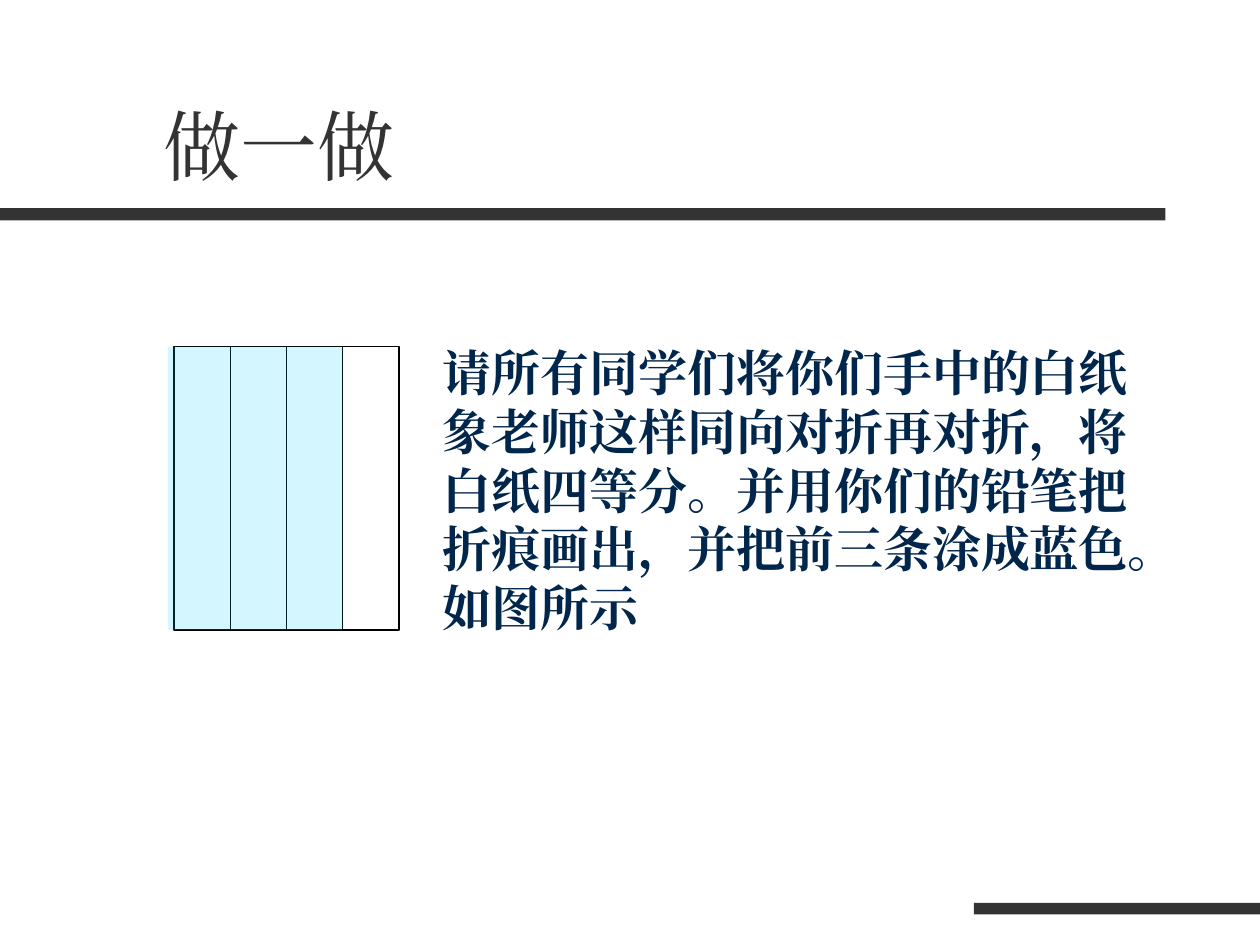
from lxml import etree
from pptx import Presentation
from pptx.dml.color import RGBColor
from pptx.enum.shapes import MSO_CONNECTOR as CONN, MSO_SHAPE as SHAPE
from pptx.enum.text import MSO_ANCHOR as ANCHOR, PP_ALIGN as ALIGN
from pptx.oxml.ns import qn
from pptx.util import Pt

GREY = RGBColor(0x33, 0x33, 0x33)
NAVY = RGBColor(0x00, 0x26, 0x4C)
CYAN = RGBColor(0x00, 0xCC, 0xFF)
WHITE = RGBColor(0xFF, 0xFF, 0xFF)
BLACK = RGBColor(0x00, 0x00, 0x00)
FONT = "Times New Roman"


def write(sp, text, size, color, bold=False, anchor=ANCHOR.TOP, spacing=None):
    tf = sp.text_frame
    tf.word_wrap = True
    tf.vertical_anchor = anchor
    p = tf.paragraphs[0]
    p.alignment = ALIGN.LEFT
    p.line_spacing = spacing
    r = p.add_run()
    r.text = text
    r.font.size = Pt(size)
    r.font.bold = bold
    r.font.name = FONT
    r.font.color.rgb = color
    # East Asian characters use the same font
    etree.SubElement(r.font._element, qn("a:ea"), typeface=FONT)


def add_rect(shapes, x, y, w, h, fill, line=None):
    sp = shapes.add_shape(SHAPE.RECTANGLE, Pt(x), Pt(y), Pt(w), Pt(h))
    sp.shadow.inherit = False
    sp.fill.solid()
    sp.fill.fore_color.rgb = fill
    if line is None:
        sp.line.fill.background()
    else:
        sp.line.color.rgb = line
        sp.line.width = Pt(0.75)
    return sp


prs = Presentation()
prs.slide_width, prs.slide_height = Pt(720), Pt(540)
s = prs.slides.add_slide(prs.slide_layouts[5])

# Rules under the title and at the bottom right
add_rect(s.shapes, 0, 119, 666, 7, GREY)
add_rect(s.shapes, 556.5, 516, 163.5, 6.5, GREY)

# Sheet of paper folded into four strips
left, top, width, height = 99.5, 198, 128.5, 162
strip = width / 4
paper = s.shapes.add_group_shape().shapes
add_rect(paper, left, top, width, height, WHITE, BLACK)
for i in range(1, 4):
    x = Pt(left + i * strip)
    fold = paper.add_connector(CONN.STRAIGHT, x, Pt(top), x, Pt(top + height))
    fold.line.color.rgb = BLACK
    fold.line.width = Pt(0.75)
    etree.SubElement(fold._element.spPr, qn("a:effectLst"))

# Transparent blue over the first three strips
tint = add_rect(paper, 96, top, left + 3 * strip - 96, height, CYAN)
color = tint.fill._xPr.find(".//" + qn("a:srgbClr"))
etree.SubElement(color, qn("a:alpha"), val="17000")

# Title
title = s.shapes.title
title.left, title.top, title.width, title.height = Pt(86.5), Pt(22.5), Pt(612), Pt(90)
write(title, "做一做", 44, GREY, anchor=ANCHOR.BOTTOM)

# Instructions
sp = s.shapes.add_textbox(Pt(246), Pt(192.5), Pt(421), Pt(175.5))
write(sp, "请所有同学们将你们手中的白纸象老师这样同向对折再对折，将白纸四等分。"
      "并用你们的铅笔把折痕画出，并把前三条涂成蓝色。如图所示",
      28, NAVY, bold=True, spacing=Pt(33.5))

prs.save("out.pptx")
